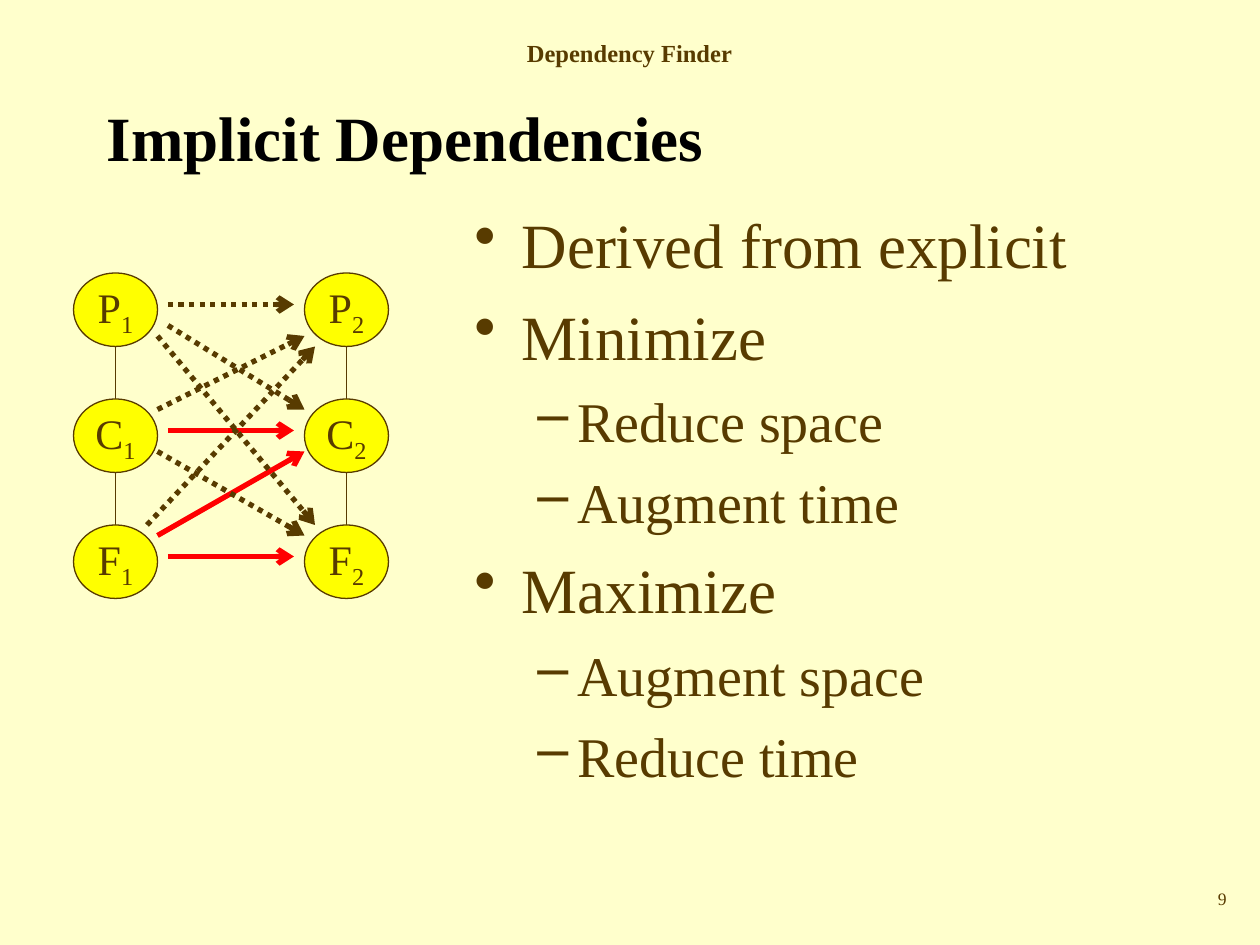
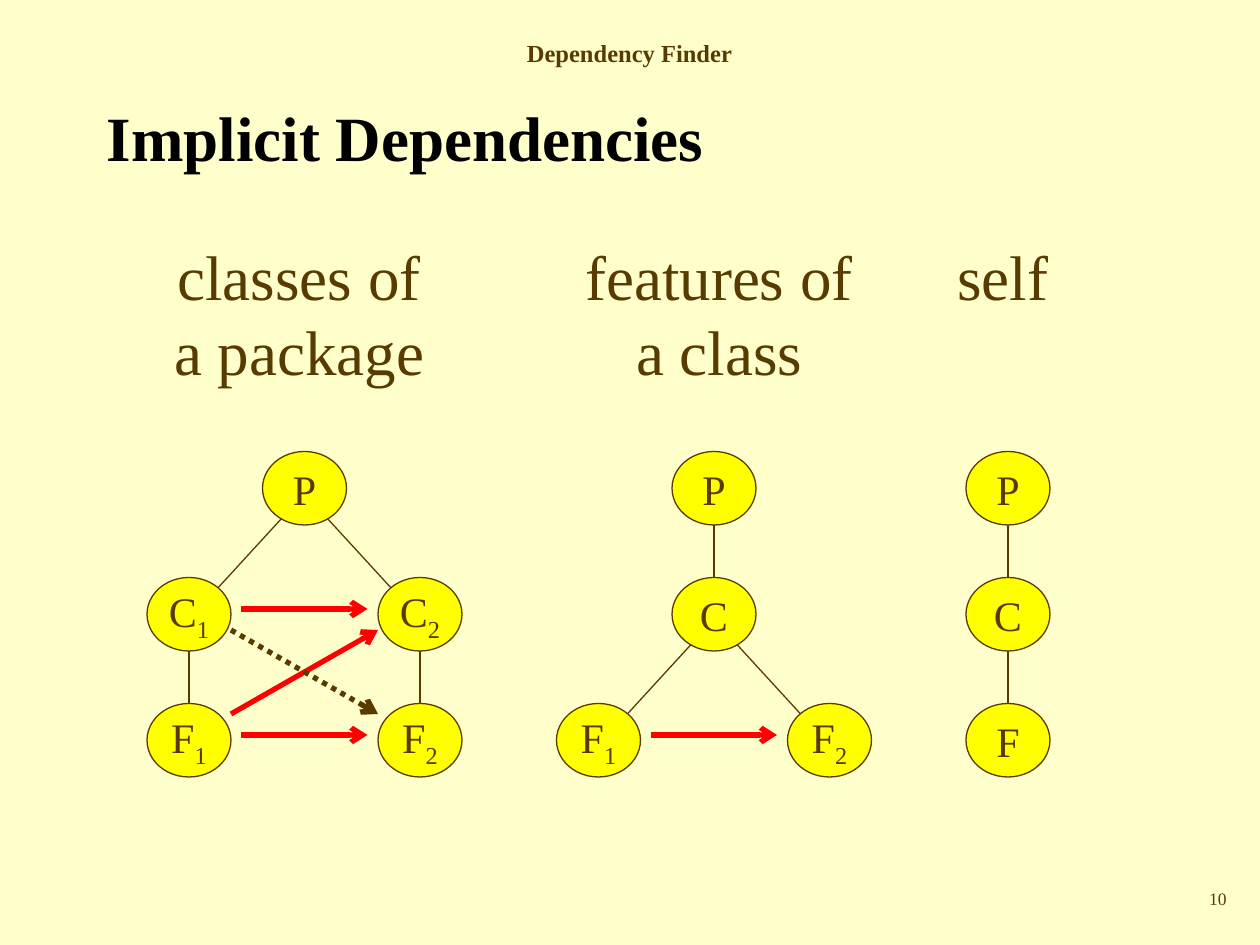
from dataclasses import dataclass

from lxml import etree
from pptx import Presentation
from pptx.dml.color import RGBColor
from pptx.enum.dml import MSO_LINE
from pptx.enum.shapes import MSO_CONNECTOR, MSO_SHAPE
from pptx.enum.text import MSO_ANCHOR, PP_ALIGN
from pptx.oxml.ns import qn
from pptx.util import Emu, Pt

LEFT, CENTER, RIGHT = PP_ALIGN.LEFT, PP_ALIGN.CENTER, PP_ALIGN.RIGHT
TOP, MIDDLE = MSO_ANCHOR.TOP, MSO_ANCHOR.MIDDLE
STRAIGHT = MSO_CONNECTOR.STRAIGHT
OVAL = MSO_SHAPE.OVAL
DOTTED = MSO_LINE.ROUND_DOT


@dataclass(frozen=True)
class Theme:
    font: str = "Times New Roman"
    background: str = "FFFFCC"
    ink: str = "583B00"
    title: str = "000000"
    node: str = "FFFF00"
    explicit: str = "FF0000"
    header_size: int = 14
    title_size: int = 36
    label_size: int = 36
    node_size: int = 24
    number_size: int = 10
    thin: float = 0.75
    thick: float = 3


THEME = Theme()
PX = 7620
SLIDE_SIZE = (1200, 900)
NODE_SIZE = (80, 70)
NODE_RISE = 40
ROW_GAP = 120

HEADER = "Dependency Finder"
TITLE = "Implicit Dependencies"
HEADER_BOX = (490, 30, 220, 41)
TITLE_BOX = (90, 90, 1020, 80)
NUMBER_BOX = (860, 840, 320, 40)
BODY_BOX = (440, 190, 670, 610)

BULLETS = [
    (0, "Derived from explicit"),
    (0, "Minimize"),
    (1, "Reduce space"),
    (1, "Augment time"),
    (0, "Maximize"),
    (1, "Augment space"),
    (1, "Reduce time"),
]
LEVELS = [
    {"char": "•", "margin": 45, "hang": 45, "size": 36, "before": 9},
    {"char": "–", "margin": 98, "hang": 38, "size": 32, "before": 8},
]

LABELS = [
    ("classes of a package", (140, 220, 290, 156)),
    ("features of a class", (540, 220, 290, 156)),
    ("self", (880, 220, 150, 84)),
]

FLAT = ((50, -10), (-50, -10))
RISE = ((40, -30), (-40, 10))
FALL = ((40, 10), (-40, -30))

PAIR_GRAPH = {
    "top": 300,
    "nodes": {"P1": (110, 0), "C1": (110, 1), "F1": (110, 2),
              "P2": (330, 0), "C2": (330, 1), "F2": (330, 2)},
    "links": ["P1 C1", "C1 F1", "P2 C2", "C2 F2"],
    "explicit": [("C1 C2", FLAT), ("F1 C2", RISE), ("F1 F2", FLAT)],
    "implicit": [
        ("P1 P2", FLAT),
        ("C1 P2", ((40, -30), (-40, 20))),
        ("C1 F2", FALL),
        ("F1 P2", ((30, -40), (-30, 30))),
        ("P1 F2", ((40, 20), (-30, -40))),
        ("P1 C2", ((50, 10), (-40, -30))),
    ],
}
PACKAGE_GRAPH = {
    "top": 470,
    "nodes": {"P": (290, 0), "C1": (180, 1), "F1": (180, 2),
              "C2": (400, 1), "F2": (400, 2)},
    "links": ["P C1", "P C2", "C1 F1", "C2 F2"],
    "explicit": [("C1 C2", FLAT), ("F1 C2", RISE), ("F1 F2", FLAT)],
    "implicit": [("C1 F2", FALL)],
}
CLASS_GRAPH = {
    "top": 470,
    "nodes": {"P": (680, 0), "C": (680, 1), "F1": (570, 2), "F2": (790, 2)},
    "links": ["P C", "C F1", "C F2"],
    "explicit": [("F1 F2", FLAT)],
    "implicit": [],
}
SELF_GRAPH = {
    "top": 470,
    "nodes": {"P": (960, 0), "C": (960, 1), "F": (960, 2)},
    "links": ["P C", "C F"],
    "explicit": [],
    "implicit": [],
}

SLIDES = [
    {"number": 9, "graphs": [PAIR_GRAPH], "bullets": BULLETS, "labels": []},
    {"number": 10, "graphs": [PACKAGE_GRAPH, CLASS_GRAPH, SELF_GRAPH],
     "bullets": [], "labels": LABELS},
]


def px(*values):
    return [Emu(v * PX) for v in values]


def rgb(color):
    return RGBColor.from_string(color)


def style_run(r, size, color=THEME.ink, bold=False):
    r.font.name = THEME.font
    r.font.size = Pt(size)
    r.font.bold = bold
    r.font.color.rgb = rgb(color)


def add_text(s, box, text, size, color=THEME.ink, bold=False,
             align=LEFT, anchor=TOP, wrap=True):
    tf = s.shapes.add_textbox(*px(*box)).text_frame
    tf.word_wrap = wrap
    tf.vertical_anchor = anchor
    p = tf.paragraphs[0]
    p.text = text
    p.alignment = align
    style_run(p.runs[0], size, color, bold)


def add_bullets(s, bullets):
    tf = s.shapes.add_textbox(*px(*BODY_BOX)).text_frame
    tf.word_wrap = True
    for i, (depth, text) in enumerate(bullets):
        level = LEVELS[depth]
        p = tf.add_paragraph() if i else tf.paragraphs[0]
        p.text = text
        p.level = depth
        pPr = p._p.get_or_add_pPr()
        pPr.set("marL", str(level["margin"] * PX))
        pPr.set("indent", str(-level["hang"] * PX))
        etree.SubElement(pPr, qn("a:buChar")).set("char", level["char"])
        if i:
            p.space_before = Pt(level["before"])
        style_run(p.runs[0], level["size"])


def add_line(s, start, end, color=THEME.ink, width=THEME.thin,
             dash=None, arrow=False):
    sp = s.shapes.add_connector(STRAIGHT, *px(*start, *end))
    sp.line.color.rgb = rgb(color)
    sp.line.width = Pt(width)
    if dash:
        sp.line.dash_style = dash
    if arrow:
        ln = sp.line._get_or_add_ln()
        etree.SubElement(ln, qn("a:tailEnd")).set("type", "arrow")
    etree.SubElement(sp._element.spPr, qn("a:effectLst"))


def add_node(s, name, x, y):
    width, height = NODE_SIZE
    sp = s.shapes.add_shape(OVAL, *px(x - width // 2, y - NODE_RISE, width, height))
    sp.shadow.inherit = False
    sp.fill.solid()
    sp.fill.fore_color.rgb = rgb(THEME.node)
    sp.line.color.rgb = rgb(THEME.ink)
    sp.line.width = Pt(THEME.thin)
    tf = sp.text_frame
    tf.word_wrap = False
    tf.vertical_anchor = MIDDLE
    p = tf.paragraphs[0]
    p.alignment = CENTER
    for i, letter in enumerate(name):
        r = p.add_run()
        r.text = letter
        style_run(r, THEME.node_size)
        if i:
            r._r.get_or_add_rPr().set("baseline", "-25000")


def add_graph(s, graph):
    points = {name: (x, graph["top"] + row * ROW_GAP)
              for name, (x, row) in graph["nodes"].items()}
    for link in graph["links"]:
        add_line(s, *(points[name] for name in link.split()))
    for name, point in points.items():
        add_node(s, name, *point)
    for kind, color, dash in (("explicit", THEME.explicit, None),
                              ("implicit", THEME.ink, DOTTED)):
        for pair, offsets in graph[kind]:
            ends = [(points[name][0] + dx, points[name][1] + dy)
                    for name, (dx, dy) in zip(pair.split(), offsets)]
            add_line(s, *ends, color, THEME.thick, dash, arrow=True)


def add_slide(prs, content):
    s = prs.slides.add_slide(prs.slide_layouts[6])
    s.background.fill.solid()
    s.background.fill.fore_color.rgb = rgb(THEME.background)
    add_text(s, HEADER_BOX, HEADER, THEME.header_size, bold=True, wrap=False)
    add_text(s, TITLE_BOX, TITLE, THEME.title_size, THEME.title, bold=True,
             anchor=MIDDLE)
    if content["bullets"]:
        add_bullets(s, content["bullets"])
    for graph in content["graphs"]:
        add_graph(s, graph)
    for text, box in content["labels"]:
        add_text(s, box, text, THEME.label_size, align=CENTER)
    add_text(s, NUMBER_BOX, str(content["number"]), THEME.number_size, align=RIGHT)


def main():
    prs = Presentation()
    prs.slide_width, prs.slide_height = px(*SLIDE_SIZE)
    for content in SLIDES:
        add_slide(prs, content)
    prs.save("out.pptx")


if __name__ == "__main__":
    main()
